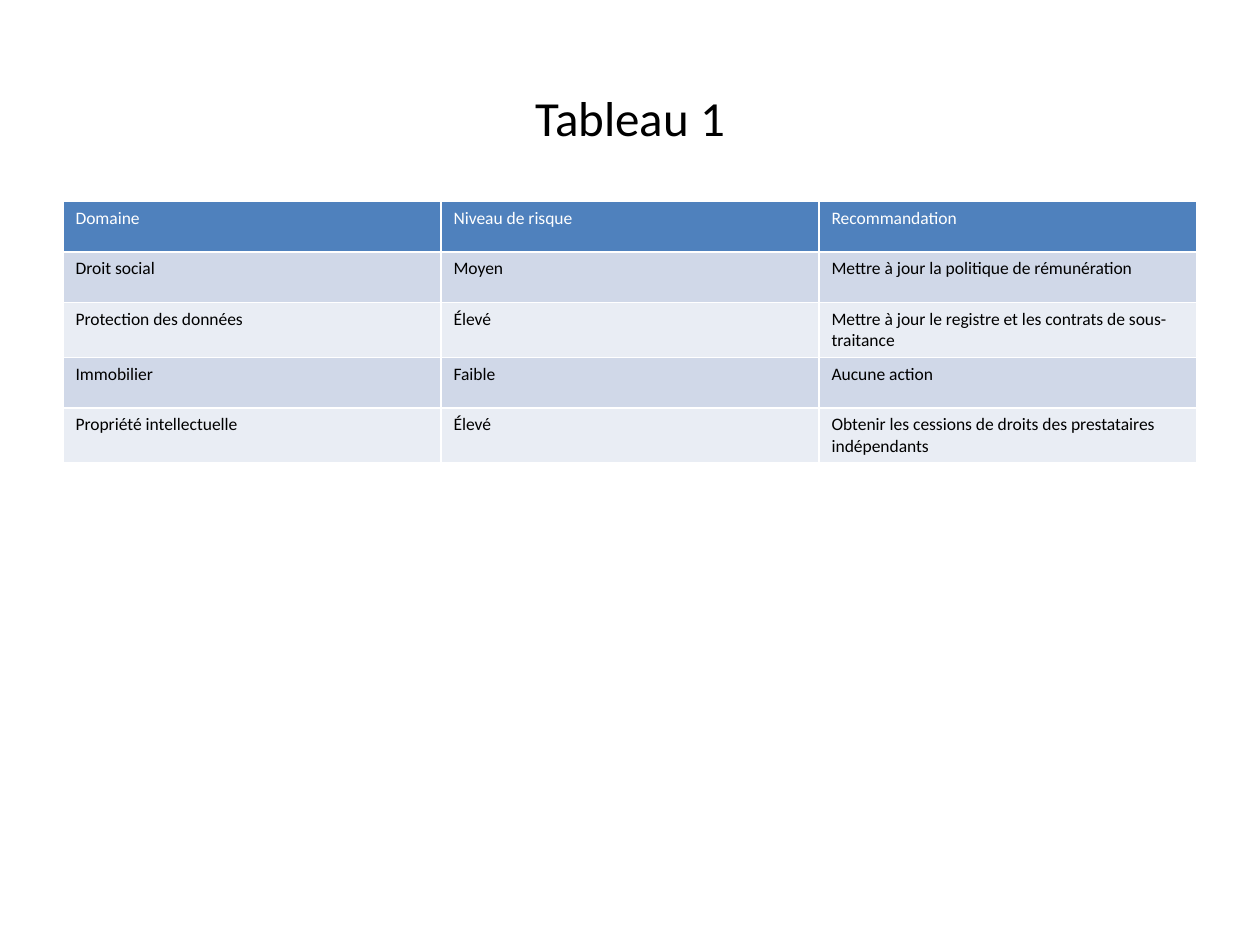
from pptx import Presentation
from pptx.dml.color import RGBColor as Rgb
from pptx.enum.text import MSO_ANCHOR as Anchor, PP_ALIGN as Align
from pptx.util import Inches, Pt

COLORS = {
    "text": "000000",
    "header_text": "FFFFFF",
    "header": "4F81BD",
    "odd_row": "D0D8E8",
    "even_row": "E9EDF4",
}

RISKS = [
    ("Domaine", "Niveau de risque", "Recommandation"),
    ("Droit social", "Moyen", "Mettre à jour la politique de rémunération"),
    ("Protection des données", "Élevé",
     "Mettre à jour le registre et les contrats de sous-traitance"),
    ("Immobilier", "Faible", "Aucune action"),
    ("Propriété intellectuelle", "Élevé",
     "Obtenir les cessions de droits des prestataires indépendants"),
]


class RiskPage:
    """Hold the style and the current slide, placing elements on a 20 by 75 grid."""

    font_name = "Calibri"
    grid_columns, grid_rows = 20, 75

    def __init__(self, deck):
        self.deck = deck
        self.page = deck.slides.add_slide(deck.slide_layouts[5])

    def place(self, column, row, width, height):
        step_x = self.deck.slide_width / self.grid_columns
        step_y = self.deck.slide_height / self.grid_rows
        return (round(column * step_x), round(row * step_y),
                round(width * step_x), round(height * step_y))

    def set_text(self, frame, text, size, color):
        para = frame.paragraphs[0]
        para.text = text
        para.font.name = self.font_name
        para.font.size = Pt(size)
        para.font.bold = False
        para.font.color.rgb = Rgb.from_string(COLORS[color])
        return para

    def title(self, text, area):
        box = self.page.shapes.title
        box.left, box.top, box.width, box.height = self.place(*area)
        box.text_frame.vertical_anchor = Anchor.MIDDLE
        self.set_text(box.text_frame, text, 28, "text").alignment = Align.CENTER

    def table(self, records, area):
        table = self.page.shapes.add_table(
            len(records), len(records[0]), *self.place(*area)).table
        for row, record in enumerate(records):
            fill = "header" if row == 0 else "odd_row" if row % 2 else "even_row"
            color = "text" if row else "header_text"
            for column, text in enumerate(record):
                cell = table.cell(row, column)
                cell.fill.solid()
                cell.fill.fore_color.rgb = Rgb.from_string(COLORS[fill])
                self.set_text(cell.text_frame, text, 10, color)


def main():
    deck = Presentation()
    deck.slide_width, deck.slide_height = Inches(10), Inches(7.5)
    page = RiskPage(deck)
    page.title("Tableau 1", (1, 3, 18, 12.5))
    page.table(RISKS, (1, 16, 18, 20))
    deck.save("out.pptx")


if __name__ == "__main__":
    main()
